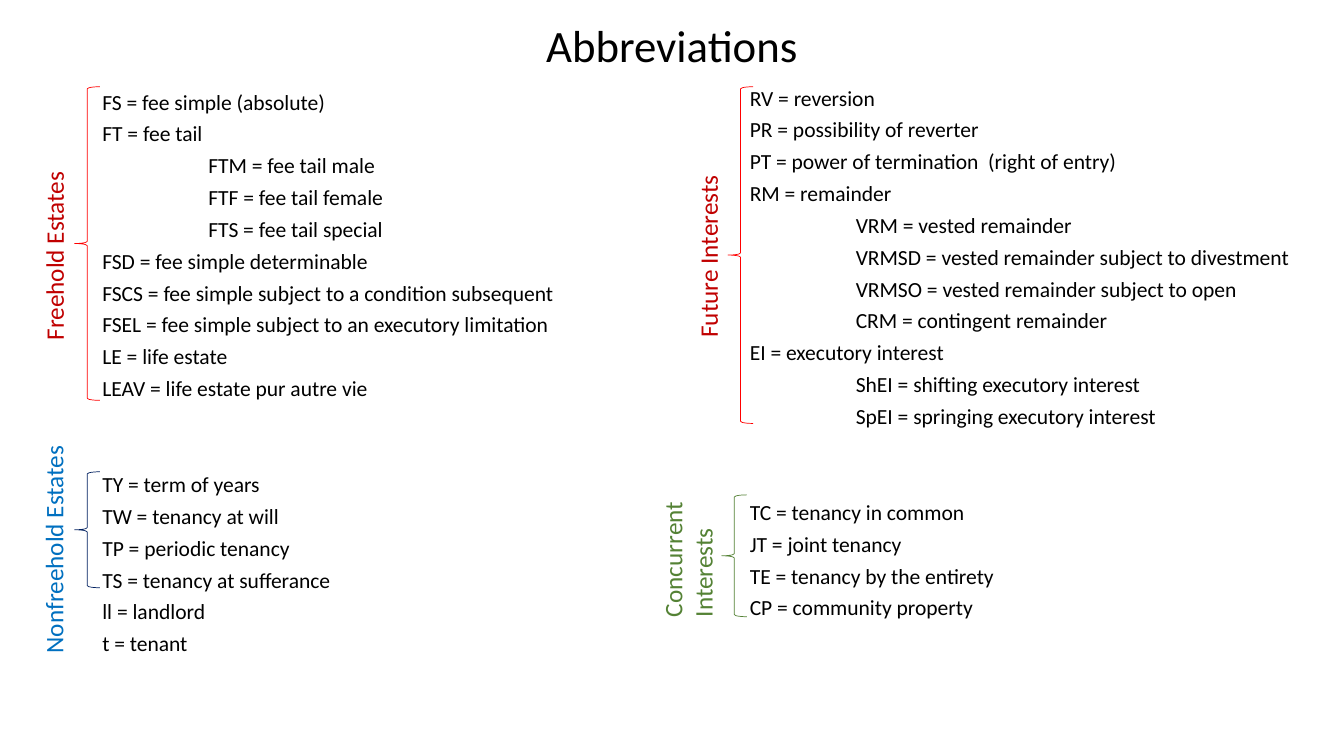
import pptx
import pptx.dml.color
import pptx.enum.shapes
import pptx.enum.text
import pptx.util

Pt = pptx.util.Pt
FONT = "Calibri"
ENTRY_GAP = 9.8
GROUP_GAP = 55.7
SUB_INDENT = 75.7

# Each column is a list of groups; each entry is (indent level, text).
ESTATES = [
    [
        (0, "FS = fee simple (absolute)"),
        (0, "FT = fee tail"),
        (1, "FTM = fee tail male"),
        (1, "FTF = fee tail female"),
        (1, "FTS = fee tail special"),
        (0, "FSD = fee simple determinable"),
        (0, "FSCS = fee simple subject to a condition subsequent"),
        (0, "FSEL = fee simple subject to an executory limitation"),
        (0, "LE = life estate"),
        (0, "LEAV = life estate pur autre vie"),
    ],
    [
        (0, "TY = term of years"),
        (0, "TW = tenancy at will"),
        (0, "TP = periodic tenancy"),
        (0, "TS = tenancy at sufferance"),
        (0, "ll = landlord"),
        (0, "t = tenant"),
    ],
]
INTERESTS = [
    [
        (0, "RV = reversion"),
        (0, "PR = possibility of reverter"),
        (0, "PT = power of termination  (right of entry)"),
        (0, "RM = remainder"),
        (1, "VRM = vested remainder"),
        (1, "VRMSD = vested remainder subject to divestment"),
        (1, "VRMSO = vested remainder subject to open"),
        (1, "CRM = contingent remainder"),
        (0, "EI = executory interest"),
        (1, "ShEI = shifting executory interest"),
        (1, "SpEI = springing executory interest"),
    ],
    [
        (0, "TC = tenancy in common"),
        (0, "JT = joint tenancy"),
        (0, "TE = tenancy by the entirety"),
        (0, "CP = community property"),
    ],
]


def rgb(value):
    return pptx.dml.color.RGBColor.from_string(value)


def format_runs(paragraph, size, color):
    for run in paragraph.runs:
        run.font.name = FONT
        run.font.size = Pt(size)
        run.font.color.rgb = rgb(color)


def add_text_box(slide, left, top, width, height, text, size, color, wrap=True):
    shape = slide.shapes.add_textbox(Pt(left), Pt(top), Pt(width), Pt(height))
    shape.text_frame.word_wrap = wrap
    shape.text_frame.text = text
    for paragraph in shape.text_frame.paragraphs:
        format_runs(paragraph, size, color)
    return shape


def add_title(slide, text):
    shape = add_text_box(slide, 66, 7.2, 828, 54.7, text, 32, "000000")
    shape.text_frame.vertical_anchor = pptx.enum.text.MSO_ANCHOR.MIDDLE
    paragraph = shape.text_frame.paragraphs[0]
    paragraph.alignment = pptx.enum.text.PP_ALIGN.CENTER
    paragraph.line_spacing = 0.9


def add_column(slide, left, top, height, groups):
    """Add one text box whose groups are set apart by a wider gap."""
    entries = [
        (level, text, GROUP_GAP if group_index and not index else ENTRY_GAP)
        for group_index, group in enumerate(groups)
        for index, (level, text) in enumerate(group)
    ]
    lines = "\n".join(text for _, text, _ in entries)
    shape = add_text_box(slide, left, top, 408, height, lines, 15.4, "000000")
    for paragraph, (level, _, gap) in zip(shape.text_frame.paragraphs, entries):
        paragraph.line_spacing = 0.7
        paragraph.space_before = Pt(gap)
        if level:
            properties = paragraph._p.get_or_add_pPr()
            properties.set("marL", str(int(Pt(SUB_INDENT * level))))
            properties.set("indent", "0")


def add_brace(slide, left, top, height, color):
    shape = slide.shapes.add_shape(
        pptx.enum.shapes.MSO_SHAPE.LEFT_BRACE, Pt(left), Pt(top), Pt(18), Pt(height)
    )
    shape.shadow.inherit = False
    shape.fill.background()
    shape.line.color.rgb = rgb(color)
    shape.line.width = Pt(0.5)


def add_vertical_label(slide, center_x, center_y, length, thickness, text, color):
    """Add a label that reads upwards, centred on the given point."""
    shape = add_text_box(
        slide, center_x - length / 2, center_y - thickness / 2,
        length, thickness, text, 18, color, wrap=False,
    )
    shape.rotation = 270


def main():
    presentation = pptx.Presentation()
    presentation.slide_width = Pt(960)
    presentation.slide_height = Pt(540)
    slide = presentation.slides.add_slide(presentation.slide_layouts[6])

    add_title(slide, "Abbreviations")
    add_column(slide, 66, 64.8, 421, ESTATES)
    add_column(slide, 528.5, 61.9, 451 - 0.3, INTERESTS)

    add_brace(slide, 53.3, 62, 224, "FF0000")
    add_brace(slide, 520, 62, 240.5, "FF0000")
    add_brace(slide, 53.3, 337, 82.8, "002060")
    add_brace(slide, 515.5, 353.5, 87, "548235")

    add_vertical_label(slide, 38.5, 182.2, 136, 29, "Freehold Estates", "C00000")
    add_vertical_label(slide, 38.2, 391.7, 164, 29, "Nonfreehold Estates", "0070C0")
    add_vertical_label(slide, 505.8, 182.2, 132, 29, "Future Interests", "C00000")
    add_vertical_label(slide, 491.4, 397.1, 101.5, 51, "Concurrent\nInterests", "548235")

    presentation.save("out.pptx")


if __name__ == "__main__":
    main()
